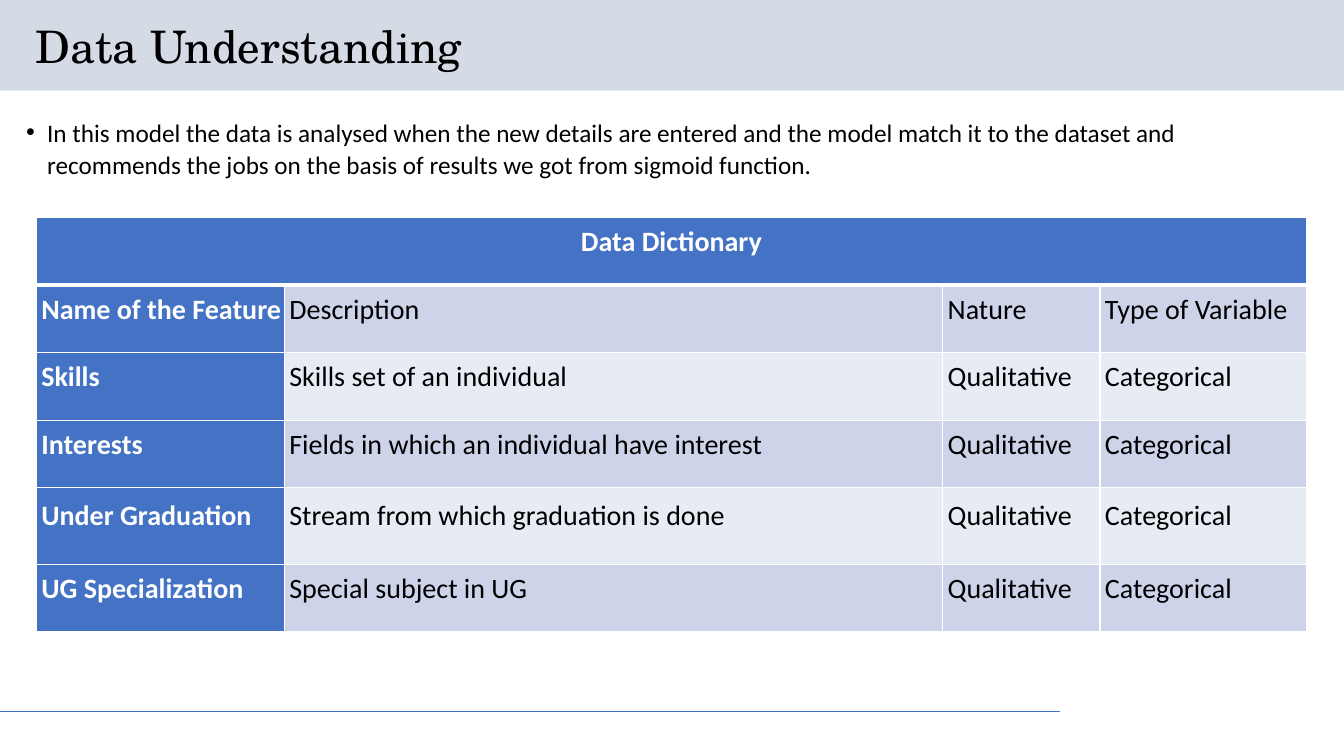
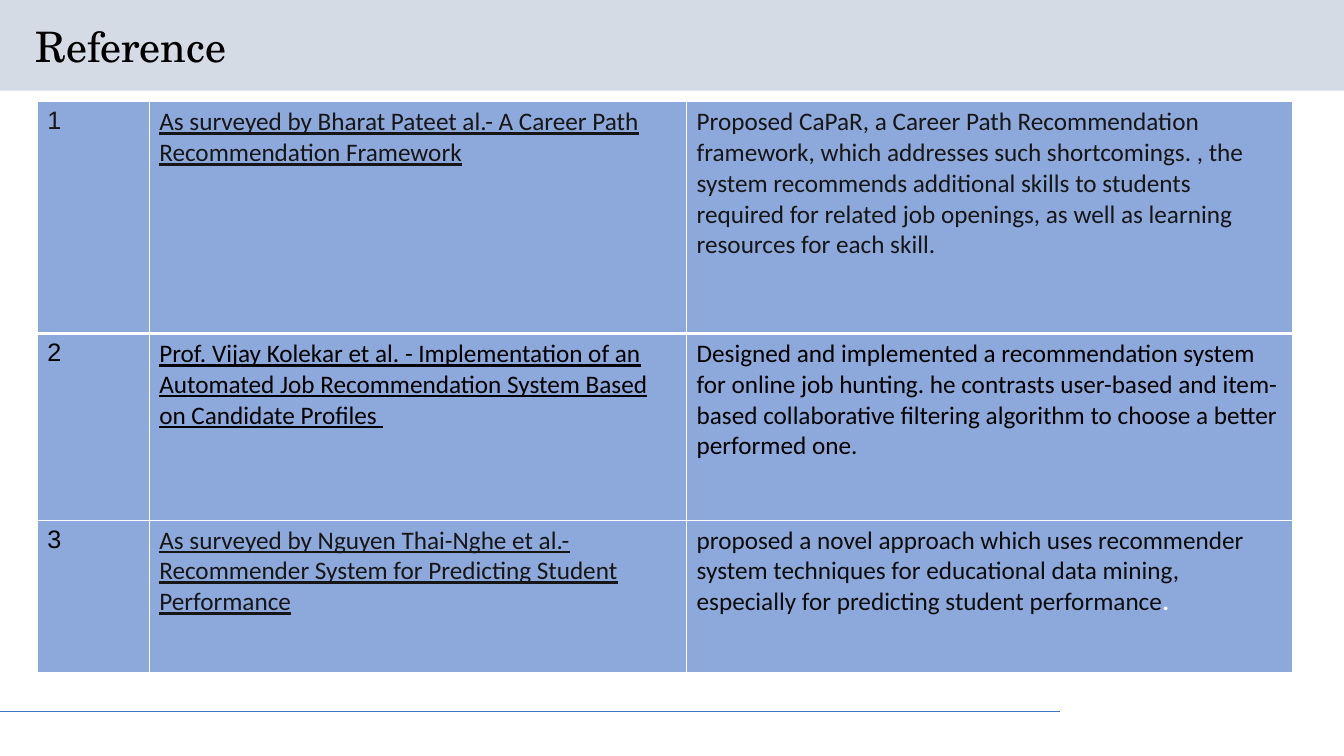
from dataclasses import dataclass

from lxml import etree
from pptx import Presentation
from pptx.dml.color import RGBColor
from pptx.enum import shapes, text
from pptx.oxml import ns
from pptx.util import Inches, Pt


@dataclass(frozen=True)
class Theme:
    band: str = "D5DBE5"
    accent: str = "4472C4"
    stripe_dark: str = "CDD4EA"
    stripe_light: str = "E7EBF4"
    reference: str = "8DA9DB"
    black: str = "000000"
    soft_black: str = "171616"
    near_black: str = "0C0C0C"
    white: str = "FFFFFF"
    title_font: str = "TeX Gyre Schola"
    body_font: str = "Calibri"
    number_font: str = "Arial"
    body_size: int = 18
    table_size: int = 20
    rule: float = 0.75
    border: int = 1
    head_border: int = 3


T = Theme()

FEATURES = [
    ("Name of the Feature", "Description", "Nature", "Type of Variable"),
    ("Skills", "Skills set of an individual", "Qualitative", "Categorical"),
    ("Interests", "Fields in which an individual have interest", "Qualitative", "Categorical"),
    ("Under Graduation", "Stream from which graduation is done", "Qualitative", "Categorical"),
    ("UG Specialization", "Special subject in UG", "Qualitative", "Categorical"),
]

# Source, summary, then the colours of number, source and summary
REFERENCES = [
    ("As surveyed by Bharat Pateet al.- A Career Path Recommendation Framework",
     "Proposed CaPaR, a Career Path Recommendation framework, which addresses such "
     "shortcomings. , the system recommends additional skills to students required for "
     "related job openings, as well as learning resources for each skill.",
     (T.soft_black, T.soft_black, T.soft_black)),
    ("Prof. Vijay Kolekar et al. - Implementation of an Automated Job Recommendation "
     "System Based on Candidate Profiles ",
     "Designed and implemented a recommendation system for online job hunting. he "
     "contrasts user-based and item-based collaborative filtering algorithm to choose a "
     "better performed one.",
     (T.black, T.black, T.black)),
    ("As surveyed by Nguyen Thai-Nghe et al.- Recommender System for Predicting Student "
     "Performance",
     "proposed a novel approach which uses recommender system techniques for educational "
     "data mining, especially for predicting student performance",
     (T.black, T.soft_black, T.near_black)),
]


def rgb(value):
    return RGBColor.from_string(value)


def set_all(obj, **values):
    for name, value in values.items():
        setattr(obj, name, value)


def add_run(p, words, size, color=T.black, name=T.body_font, **values):
    r = p.add_run()
    r.text = words
    set_all(r.font, size=Pt(size), name=name, **values)
    r.font.color.rgb = rgb(color)


def add_layout_art(layout, slide):
    """Draw the title band and bottom rule, then move them behind the layout's placeholders."""
    band = slide.shapes.add_shape(shapes.MSO_SHAPE.RECTANGLE, 0, 0, Inches(13.33), Inches(0.9))
    band.shadow.inherit = False
    band.fill.solid()
    band.fill.fore_color.rgb = rgb(T.band)
    band.line.fill.background()

    rule = slide.shapes.add_connector(
        shapes.MSO_CONNECTOR.STRAIGHT, 0, Inches(7.06), Inches(10.51), Inches(7.06))
    rule.line.color.rgb = rgb(T.accent)
    rule.line.width = Pt(T.rule)
    etree.SubElement(rule.element.spPr, ns.qn("a:effectLst"))

    first = layout.placeholders[0].element
    for sp in (band, rule):
        first.addprevious(sp.element)


def add_title(slide, words, top, height, size):
    sp = slide.shapes.title
    set_all(sp, left=Inches(0.25), top=Inches(top), width=Inches(11.5), height=Inches(height))
    tf = sp.text_frame
    set_all(tf, word_wrap=True, vertical_anchor=text.MSO_ANCHOR.MIDDLE,
            auto_size=text.MSO_AUTO_SIZE.SHAPE_TO_FIT_TEXT)
    p = tf.paragraphs[0]
    set_all(p, alignment=text.PP_ALIGN.LEFT, line_spacing=0.9)
    add_run(p, words, size, name=T.title_font)


def add_bullet(slide, words, left, top, width, height):
    sp = slide.shapes.add_textbox(*map(Inches, (left, top, width, height)))
    tf = sp.text_frame
    tf.word_wrap = True
    p = tf.paragraphs[0]
    p.line_spacing = 1.07
    pPr = p._p.get_or_add_pPr()
    pPr.set("marL", str(Inches(0.22)))
    pPr.set("indent", str(Inches(-0.21)))
    etree.SubElement(pPr, ns.qn("a:buFont"), typeface="Arial")
    etree.SubElement(pPr, ns.qn("a:buChar"), char="•")
    add_run(p, words, T.body_size)


def add_table(slide, left, top, cols, rows):
    frame = slide.shapes.add_table(
        len(rows), len(cols), *map(Inches, (left, top, sum(cols), sum(rows))))
    table = frame.table
    set_all(table, first_row=False, horz_banding=False)
    for column, width in zip(table.columns, cols):
        column.width = Inches(width)
    for row, height in zip(table.rows, rows):
        row.height = Inches(height)
    for i, row in enumerate(table.rows):
        for cell in row.cells:
            add_borders(cell, T.head_border if i == 1 else T.border,
                        T.head_border if i == 0 else T.border)
    return table


def add_borders(cell, top, bottom):
    tcPr = cell._tc.get_or_add_tcPr()
    widths = {"lnL": T.border, "lnR": T.border, "lnT": top, "lnB": bottom}
    for tag, width in widths.items():
        ln = etree.SubElement(tcPr, ns.qn(f"a:{tag}"), w=str(Pt(width)))
        fill = etree.SubElement(ln, ns.qn("a:solidFill"))
        etree.SubElement(fill, ns.qn("a:srgbClr"), val=T.white)


def fill_cell(cell, fill, words, size, **values):
    """Colour the cell, write its text and return the paragraph."""
    cell.fill.solid()
    cell.fill.fore_color.rgb = rgb(fill)
    p = cell.text_frame.paragraphs[0]
    add_run(p, words, size, **values)
    return p


def add_feature_cell(cell, words, fill, top=0.01, left=0.05, head=False):
    set_all(cell, margin_left=Inches(left), margin_top=Inches(top),
            margin_right=0, margin_bottom=0)
    p = fill_cell(cell, fill, words, T.table_size, bold=head,
                  color=T.white if head else T.black)
    p.line_spacing = 1.19
    return p


def add_data_dictionary(slide):
    table = add_table(slide, 0.36, 2.16, [2.46, 6.53, 1.56, 2.05],
                      [0.67, 0.67, 0.67, 0.67, 0.76, 0.67])
    heading = table.cell(0, 0)
    heading.merge(table.cell(0, 3))
    p = add_feature_cell(heading, "Data Dictionary", T.accent, left=0, head=True)
    p.alignment = text.PP_ALIGN.CENTER
    for i, feature in enumerate(FEATURES, 1):
        stripe = T.stripe_dark if i % 2 else T.stripe_light
        top = 0.05 if feature[0] == "Under Graduation" else 0.01
        for j, words in enumerate(feature):
            add_feature_cell(table.cell(i, j), words, stripe if j else T.accent,
                             top, head=j == 0)


def add_references(slide):
    table = add_table(slide, 0.37, 1.01, [1.11, 5.33, 6.01], [2.3, 1.85, 1.51])
    styles = ({"name": T.number_font}, {"underline": True}, {})
    for i, (source, summary, colors) in enumerate(REFERENCES):
        entry = (str(i + 1), source, summary)
        for j, (words, color, style) in enumerate(zip(entry, colors, styles)):
            p = fill_cell(table.cell(i, j), T.reference, words, T.body_size,
                          color=color, bold=False, **style)
    add_run(p, ".", T.body_size, T.white, bold=True)


def main():
    prs = Presentation()
    set_all(prs, slide_width=Inches(13.33), slide_height=Inches(7.5))
    layout = prs.slide_layouts.get_by_name("Title Only")

    understanding = prs.slides.add_slide(layout)
    add_layout_art(layout, understanding)
    add_title(understanding, "Data Understanding", 0.19, 0.59, 32)
    add_bullet(understanding,
               "In this model the data is analysed when the new details are entered and the "
               "model match it to the dataset and recommends the jobs on the basis of results "
               "we got from sigmoid function.", 0.15, 1.09, 12.34, 0.75)
    add_data_dictionary(understanding)

    reference = prs.slides.add_slide(layout)
    add_title(reference, "Reference", 0.21, 0.56, 30)
    add_references(reference)

    prs.save("out.pptx")


if __name__ == "__main__":
    main()
